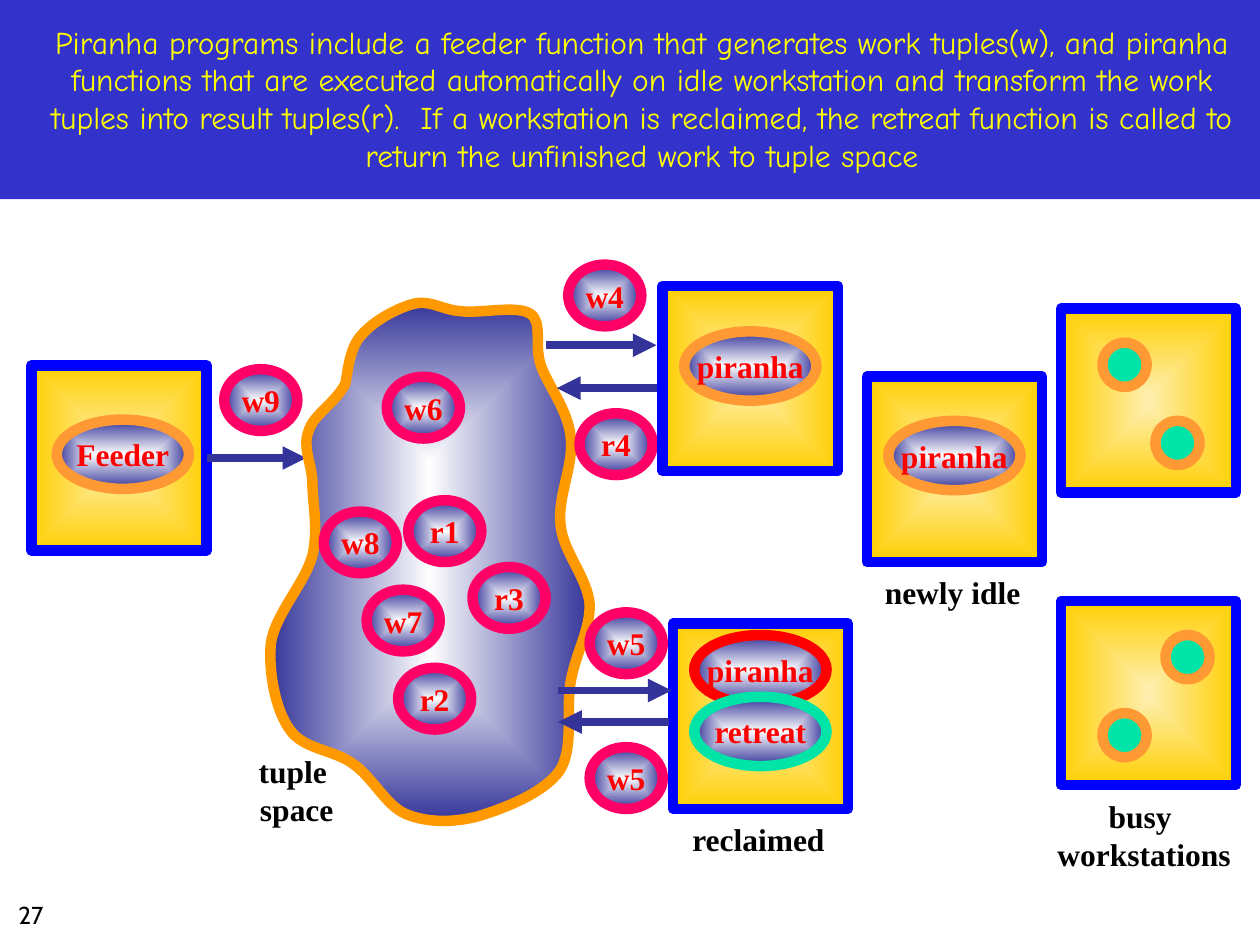
import pptx
import pptx.util
import pptx.dml.color
import pptx.enum.shapes
import pptx.enum.text
import pptx.oxml
import pptx.oxml.ns

PX = 9144
COLORS = {
    "band": "3333CC", "title": "FFFF00", "black": "000000", "red": "FF0000",
    "blue": "0000FF", "cream": "FEEFB1", "gold": "FFCF01", "white": "FEFEFE",
    "navy": "333399", "orange": "FF9933", "amber": "FF9900", "pink": "FF0066",
    "green": "00E4A8",
}
NS = pptx.oxml.ns.nsdecls("a")
SHAPE = pptx.enum.shapes.MSO_SHAPE
SERIF = "Times New Roman"
BLOB = [
    (274, 305),
    (265, 321), (249, 329), (245, 342), (240, 355), (247, 366), (248, 382),
    (248, 399), (253, 420), (248, 441), (242, 463), (218, 488), (215, 511),
    (213, 534), (219, 564), (230, 579), (241, 595), (265, 595), (280, 606),
    (296, 617), (306, 639), (322, 646), (339, 653), (359, 653), (379, 648),
    (399, 642), (431, 630), (444, 612), (456, 594), (449, 563), (453, 541),
    (457, 518), (469, 499), (468, 479), (466, 458), (447, 438), (445, 417),
    (442, 395), (456, 368), (453, 347), (451, 325), (434, 305), (429, 289),
    (424, 273), (431, 256), (421, 249), (410, 242), (381, 249), (366, 247),
    (351, 246), (342, 238), (329, 241), (316, 244), (296, 255), (287, 266),
    (277, 276), (276, 297), (274, 305),
]


def rgb(name):
    """Return the named colour."""
    return pptx.dml.color.RGBColor.from_string(COLORS[name])


def emu(*lengths):
    """Turn px lengths into EMU."""
    return [pptx.util.Emu(n * PX) for n in lengths]


def write(sp, lines, color, size=18, font=SERIF, bold=True, wrap=False):
    """Write centred paragraphs into a shape."""
    tf = sp.text_frame
    tf.word_wrap = wrap
    for i, line in enumerate(lines):
        p = tf.add_paragraph() if i else tf.paragraphs[0]
        p.alignment = pptx.enum.text.PP_ALIGN.CENTER
        r = p.add_run()
        r.text = line
        r.font.size = pptx.util.Pt(size)
        r.font.name = font
        r.font.bold = bold
        r.font.color.rgb = rgb(color)


def label(slide, x, y, w, h, lines, **style):
    """Add an unwrapped black text box."""
    sp = slide.shapes.add_textbox(*emu(x, y, w, h))
    write(sp, lines, "black", **style)
    sp.text_frame.auto_size = pptx.enum.text.MSO_AUTO_SIZE.SHAPE_TO_FIT_TEXT


def paint(sp, fills, line):
    """Fill a shape flat or from centre to edge, and give it a thick outline."""
    sp.shadow.inherit = False
    sp.line.color.rgb = rgb(line)
    sp.line.width = pptx.util.Pt(6)
    if len(fills) == 1:
        sp.fill.solid()
        sp.fill.fore_color.rgb = rgb(fills[0])
        return
    sp.fill.gradient()
    for stop, name, position in zip(sp.fill.gradient_stops, fills, (0, 1)):
        stop.color.rgb = rgb(name)
        stop.position = position
    lin = sp.element.spPr.find(".//" + pptx.oxml.ns.qn("a:lin"))
    lin.getparent().replace(lin, pptx.oxml.parse_xml(
        f'<a:path {NS} path="rect"><a:fillToRect l="50000" t="50000" r="50000" b="50000"/></a:path>'))


def oval(slide, x, y, w, h, text, line):
    """Add a shaded ellipse with a red caption."""
    sp = slide.shapes.add_shape(SHAPE.OVAL, *emu(x, y, w, h))
    paint(sp, ("white", "navy"), line)
    sp.text_frame.vertical_anchor = pptx.enum.text.MSO_ANCHOR.MIDDLE
    write(sp, [text], "red")


def tuples(slide, items):
    """Add work and result tuples at their places."""
    for text, x, y in items:
        oval(slide, x, y, 58, 49, text, "pink")


def arrow(slide, x1, x2, y):
    """Add a horizontal arrow that points at x2."""
    line = slide.shapes.add_connector(pptx.enum.shapes.MSO_CONNECTOR.STRAIGHT, *emu(x1, y, x2, y))
    line.line.color.rgb = rgb("navy")
    line.line.width = pptx.util.Pt(4.5)
    line.line._get_or_add_ln().append(pptx.oxml.parse_xml(f'<a:tailEnd {NS} type="triangle"/>'))
    line.element.spPr.append(pptx.oxml.parse_xml(f"<a:effectLst {NS}/>"))
    return line


def station(slide, x, y, h=147, functions=(), dots=(), caption=None):
    """Add a workstation with its functions, busy dots and caption."""
    box = slide.shapes.add_shape(SHAPE.RECTANGLE, *emu(x, y, 139, h))
    paint(box, ("cream", "gold"), "blue")
    for text, dx, dy, line in functions:
        oval(slide, x + dx, y + dy, 105, 55, text, line)
    for dx, dy in dots:
        dot = slide.shapes.add_shape(SHAPE.OVAL, *emu(x + dx, y + dy, 35, 35))
        paint(dot, ("green",), "orange")
    if caption:
        dx, w, lines = caption
        label(slide, x + dx, y + 151, w, 10 + 30 * len(lines), lines)
    return box


def header(slide, w, h):
    """Add the band and place the title on it."""
    band = slide.shapes.add_shape(SHAPE.RECTANGLE, *emu(0, 0, w, h))
    band.shadow.inherit = False
    band.fill.solid()
    band.fill.fore_color.rgb = rgb("band")
    band.line.fill.background()
    slide.shapes._spTree.insert(2, band.element)
    title = slide.shapes.title
    title.left, title.top, title.width, title.height = emu(26, 8, 967, 135)
    title.text_frame.vertical_anchor = pptx.enum.text.MSO_ANCHOR.BOTTOM
    title.text_frame.auto_size = pptx.enum.text.MSO_AUTO_SIZE.NONE
    write(title, [
        "Piranha programs include a feeder function that generates work tuples(w), and piranha "
        "functions that are executed automatically on idle workstation and transform the work "
        "tuples into result tuples(r).  If a workstation is reclaimed, the retreat function is "
        "called to return the unfinished work to tuple space"],
        "title", font="Comic Neue", bold=False, wrap=True)


def tuple_space(slide):
    """Add the curved tuple space, its tuples and its caption."""
    builder = slide.shapes.build_freeform(*BLOB[0], scale=PX)
    builder.add_line_segments(BLOB[1:], close=True)
    sp = builder.convert_to_shape()
    segments = sp.element.spPr.findall(".//" + pptx.oxml.ns.qn("a:lnTo"))
    for i in range(0, len(BLOB) - 1, 3):
        curve = pptx.oxml.parse_xml(f"<a:cubicBezTo {NS}/>")
        segments[i].addprevious(curve)
        for segment in segments[i:i + 3]:
            curve.append(segment[0])
            segment.getparent().remove(segment)
    paint(sp, ("white", "navy"), "amber")
    tuples(slide, [("w6", 307, 299), ("w8", 257, 406), ("r1", 324, 397),
                   ("r3", 375, 450), ("w7", 291, 468), ("r2", 316, 530)])
    label(slide, 195, 592, 81, 70, ["tuple ", "space"])


def feeder(slide, x, y):
    """Add the feeder and the tuple it sends."""
    box = station(slide, x, y, functions=[("Feeder", 20, 43, "orange")])
    tuples(slide, [("w9", x + 153, y + 3)])
    line = arrow(slide, x + 139, x + 218, y + 73)
    line.begin_connect(box, 3)
    line.end_y = line.begin_y


def working(slide, x, y):
    """Add a working station and its exchange with tuple space."""
    tuples(slide, [("w4", x - 75, y - 17), ("r4", x - 66, y + 101)])
    arrow(slide, x - 93, x - 5, y + 47)
    arrow(slide, x + 3, x - 84, y + 81)
    station(slide, x, y, functions=[("piranha", 17, 36, "orange")])


def reclaimed(slide, x, y):
    """Add a reclaimed station that returns its work."""
    station(slide, x, y, functions=[("piranha", 17, 9, "red"), ("retreat", 17, 58, "green")],
            caption=(5, 126, ["reclaimed"]))
    tuples(slide, [("w5", x - 66, y - 9), ("w5", x - 66, y + 98)])
    arrow(slide, x - 91, x - 1, y + 53)
    arrow(slide, x - 3, x - 91, y + 78)


def main():
    """Build and save the slide."""
    prs = pptx.Presentation()
    prs.slide_width, prs.slide_height = emu(1000, 750)
    slide = prs.slides.add_slide(prs.slide_layouts[5])
    header(slide, 1000, 158)
    feeder(slide, 25, 290)
    tuple_space(slide)
    working(slide, 526, 227)
    reclaimed(slide, 534, 495)
    station(slide, 688, 299, functions=[("piranha", 17, 35, "orange")],
            caption=(4, 128, ["newly idle"]))
    station(slide, 842, 245, 146, dots=[(33, 27), (75, 89)])
    station(slide, 842, 477, 146, dots=[(83, 27), (33, 89)],
            caption=(-13, 158, ["busy ", "workstations"]))
    label(slide, -33, 709, 115, 37, ["27"], size=14, font="Cabin", bold=False)
    prs.save("out.pptx")


if __name__ == "__main__":
    main()
